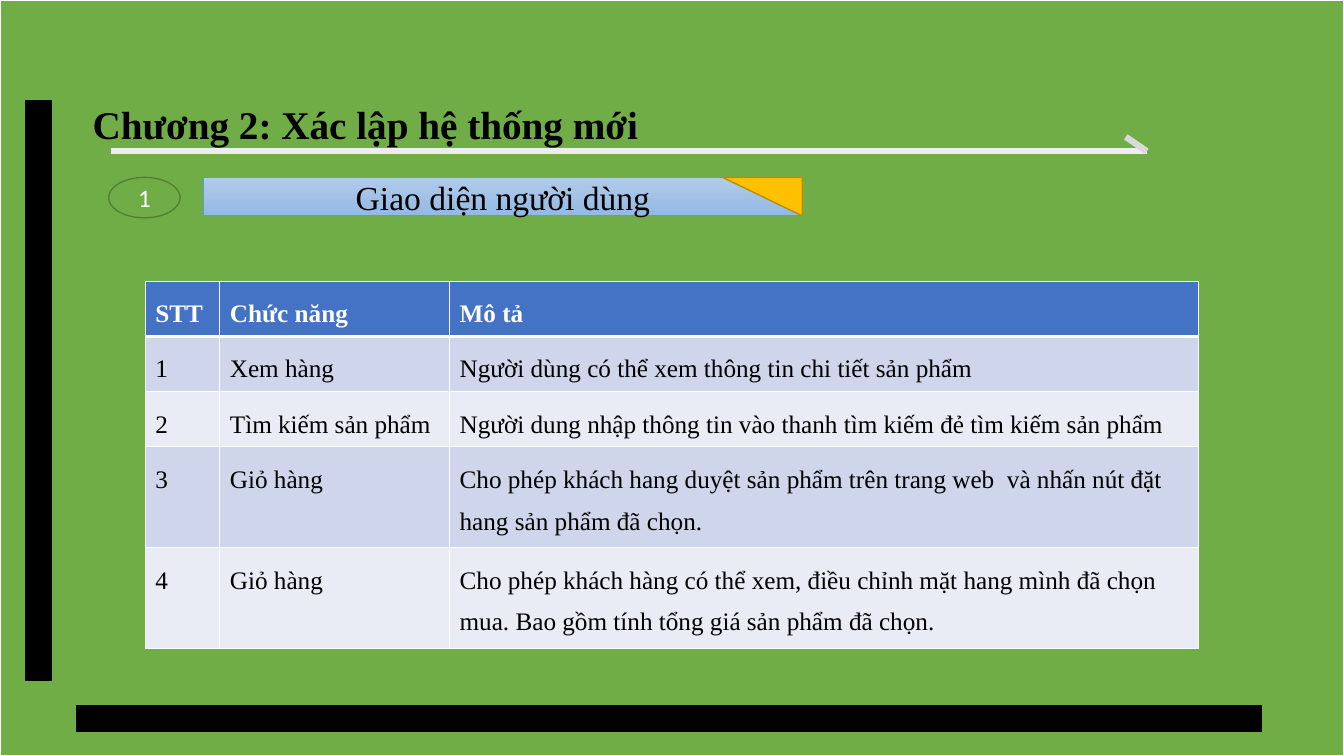
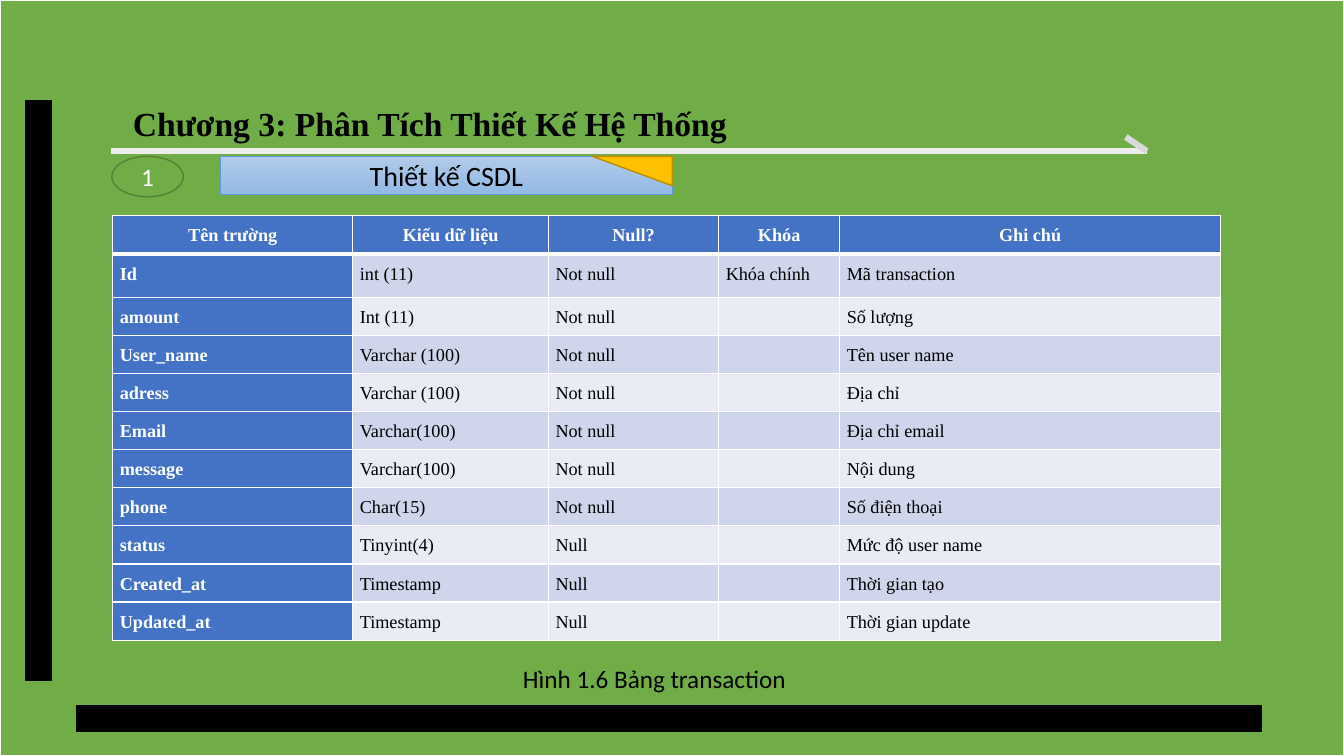
import lxml.etree
import pptx
import pptx.dml.color
import pptx.enum.shapes
import pptx.enum.text
import pptx.oxml.ns
import pptx.util

Cm = pptx.util.Cm
Pt = pptx.util.Pt
KIND = pptx.enum.shapes.MSO_SHAPE
ALIGN = pptx.enum.text.PP_ALIGN
MIDDLE = pptx.enum.text.MSO_ANCHOR.MIDDLE
qn = pptx.oxml.ns.qn

HUES = {
    "green": "70AD47", "moss": "538035", "black": "000000", "white": "FFFFFF",
    "rule": "EDEDED", "tick": "D9D9D9", "sky": "B1CBE9", "blue": "93B9E4",
    "edge": "5B9BD5", "gold": "FFC000", "amber": "BD8E00",
    "head": "4472C4", "odd": "CFD5EA", "even": "E9EBF5",
}
RGB = {name: pptx.dml.color.RGBColor.from_string(hue) for name, hue in HUES.items()}
SERIF, SANS = "Times New Roman", "Calibri"


def add_box(page, kind, place, fill, edge, weight):
    shape = page.shapes.add_shape(kind, *[Cm(n) for n in place])
    shape.shadow.inherit = False
    shape.fill.solid()
    shape.fill.fore_color.rgb = RGB[fill]
    shape.line.color.rgb = RGB[edge]
    shape.line.width = Pt(weight)
    return shape


def set_text(frame, text, size, face, hue="black", bold=False, align=ALIGN.LEFT):
    frame.text = text
    para = frame.paragraphs[0]
    para.alignment = align
    for run in para.runs:
        run.font.size = Pt(size)
        run.font.name = face
        run.font.bold = bold
        run.font.color.rgb = RGB[hue]
    return para


deck = pptx.Presentation()
deck.slide_width = Cm(33.87)
deck.slide_height = Cm(19.05)
plain = deck.slide_layouts[5]
pages = [deck.slides.add_slide(plain) for _ in range(2)]

frame = [
    add_box(pages[0], KIND.RECTANGLE, place, fill, edge, weight)
    for place, fill, edge, weight in [
        ((0, 0, 33.87, 19.05), "green", "white", 1.5),
        ((0.64, 2.54, 0.66, 14.6), "black", "black", 1),
        ((1.93, 17.78, 29.87, 0.66), "black", "black", 1),
    ]
]
for ends, hue in [((2.79, 3.81, 28.9, 3.81), "rule"), ((28.9, 3.81, 28.37, 3.45), "tick")]:
    line = pages[0].shapes.add_connector(
        pptx.enum.shapes.MSO_CONNECTOR.STRAIGHT, *[Cm(n) for n in ends])
    line.line.color.rgb = RGB[hue]
    line.line.width = Pt(4.5)
    lxml.etree.SubElement(line.element.spPr, qn("a:effectLst"))
    frame.append(line)
for mark, part in enumerate(frame, 20):
    part.element.xpath(".//p:cNvPr")[0].set("id", str(mark))
    plain.shapes.element.append(part.element)

tasks = [
    ("STT", "Chức năng", "Mô tả"),
    ("1", "Xem hàng", "Người dùng có thể xem thông tin chi tiết sản phẩm"),
    ("2", "Tìm kiếm sản phẩm",
     "Người dung nhập thông tin vào thanh tìm kiếm đẻ tìm kiếm sản phẩm"),
    ("3", "Giỏ hàng",
     "Cho phép khách hang duyệt sản phẩm trên trang web  và nhấn nút đặt hang sản phẩm đã chọn."),
    ("4", "Giỏ hàng",
     "Cho phép khách hàng có thể xem, điều chỉnh mặt hang mình đã chọn mua. "
     "Bao gồm tính tổng giá sản phẩm đã chọn."),
]
fields = [
    ("Tên trường", "Kiểu dữ liệu", "Null?", "Khóa", "Ghi chú"),
    ("Id", "int (11)", "Not null", "Khóa chính", "Mã transaction"),
    ("amount", "Int (11)", "Not null", "", "Số lượng"),
    ("User_name", "Varchar (100)", "Not null", "", "Tên user name"),
    ("adress", "Varchar (100)", "Not null", "", "Địa chỉ"),
    ("Email", "Varchar(100)", "Not null", "", "Địa chỉ email"),
    ("message", "Varchar(100)", "Not null", "", "Nội dung"),
    ("phone", "Char(15)", "Not null", "", "Số điện thoại"),
    ("status", "Tinyint(4)", "Null", "", "Mức độ user name"),
    ("Created_at", "Timestamp", "Null", "", "Thời gian tạo"),
    ("Updated_at", "Timestamp", "Null", "", "Thời gian update"),
]
plans = [
    {
        "title": "Chương 2: Xác lập hệ thống mới", "spot": (2.08, 2.39, 18.14, 1.45),
        "size": 28, "align": ALIGN.LEFT,
        "label": "Giao diện người dùng", "font": (24, SERIF), "top": 4.47,
        "oval": 2.74, "band": (5.13, 15.09), "fold": 0.97,
        "rows": tasks, "at": (3.66, 7.09), "cols": (1.88, 5.79, 18.87),
        "highs": [1.39] * 3 + [2.54] * 2, "text": 18, "pad": None,
        "center": ALIGN.LEFT, "keys": False,
    },
    {
        "title": "Chương 3: Phân Tích Thiết Kế Hệ Thống", "spot": (2.87, 2.46, 15.93, 1.27),
        "size": 24, "align": ALIGN.CENTER,
        "label": "Thiết kế CSDL", "font": (20, SANS), "top": 3.94,
        "oval": 2.82, "band": (5.56, 11.38), "fold": 0.74,
        "rows": fields, "at": (2.84, 5.44), "cols": (6.05, 4.93, 4.29, 3.05, 9.6),
        "highs": [0.96, 1.09] + [0.96] * 9, "text": 13, "pad": 0.18,
        "center": ALIGN.CENTER, "keys": True,
    },
]

for page, plan in zip(pages, plans):
    title = page.shapes.title
    title.left, title.top, title.width, title.height = [Cm(n) for n in plan["spot"]]
    title.text_frame.auto_size = pptx.enum.text.MSO_AUTO_SIZE.NONE
    title.text_frame.vertical_anchor = MIDDLE
    set_text(title.text_frame, plan["title"], plan["size"], SERIF,
             bold=True, align=plan["align"])

    top = plan["top"]
    left, width = plan["band"]
    oval = add_box(page, KIND.OVAL, (plan["oval"], top, 1.8, 1.02), "green", "moss", 1)
    set_text(oval.text_frame, "1", 18, SANS, "white", align=ALIGN.CENTER)
    band = add_box(page, KIND.RECTANGLE, (left, top, width, 0.97), "sky", "edge", 0.5)
    band.fill.gradient()
    band.fill.gradient_angle = 270
    for stop, hue in zip(band.fill.gradient_stops, ("sky", "blue")):
        stop.color.rgb = RGB[hue]
    set_text(band.text_frame, plan["label"], *plan["font"], align=ALIGN.CENTER)
    for shape in (oval, band):
        shape.text_frame.vertical_anchor = MIDDLE
    fold = add_box(page, KIND.RIGHT_TRIANGLE,
                   (left + width - 2.01, top, 2.01, plan["fold"]), "gold", "amber", 1)
    fold.rotation = 180

    rows, cols, highs = plan["rows"], plan["cols"], plan["highs"]
    table = page.shapes.add_table(
        len(rows), len(cols), *[Cm(n) for n in (*plan["at"], sum(cols), sum(highs))]).table
    for col, wide in zip(table.columns, cols):
        col.width = Cm(wide)
    for r, (row, high) in enumerate(zip(rows, highs)):
        table.rows[r].height = Cm(high)
        for c, text in enumerate(row):
            cell = table.cell(r, c)
            props = cell._tc.get_or_add_tcPr()
            for side in "LRTB":
                thick = (r, side) in ((0, "B"), (1, "T"))
                edge = lxml.etree.SubElement(
                    props, qn("a:ln" + side), w=str(Pt(3 if thick else 1)))
                fill = lxml.etree.SubElement(edge, qn("a:solidFill"))
                lxml.etree.SubElement(fill, qn("a:srgbClr"), val=HUES["white"])
            strong = r == 0 or (plan["keys"] and c == 0)
            cell.fill.solid()
            cell.fill.fore_color.rgb = RGB["head" if strong else "odd" if r % 2 else "even"]
            if plan["pad"]:
                cell.margin_left = cell.margin_right = Cm(plan["pad"])
                cell.margin_top = cell.margin_bottom = Cm(0)
            if text:
                para = set_text(cell.text_frame, text, plan["text"], SERIF,
                                "white" if strong else "black", strong,
                                plan["center"] if r == 0 else ALIGN.LEFT)
                para.line_spacing = 1.5

note = pages[1].shapes.add_textbox(Cm(12.93), Cm(16.59), Cm(7.21), Cm(1.02))
set_text(note.text_frame, "Hình 1.6 Bảng transaction", 18, SANS)

deck.save("out.pptx")
